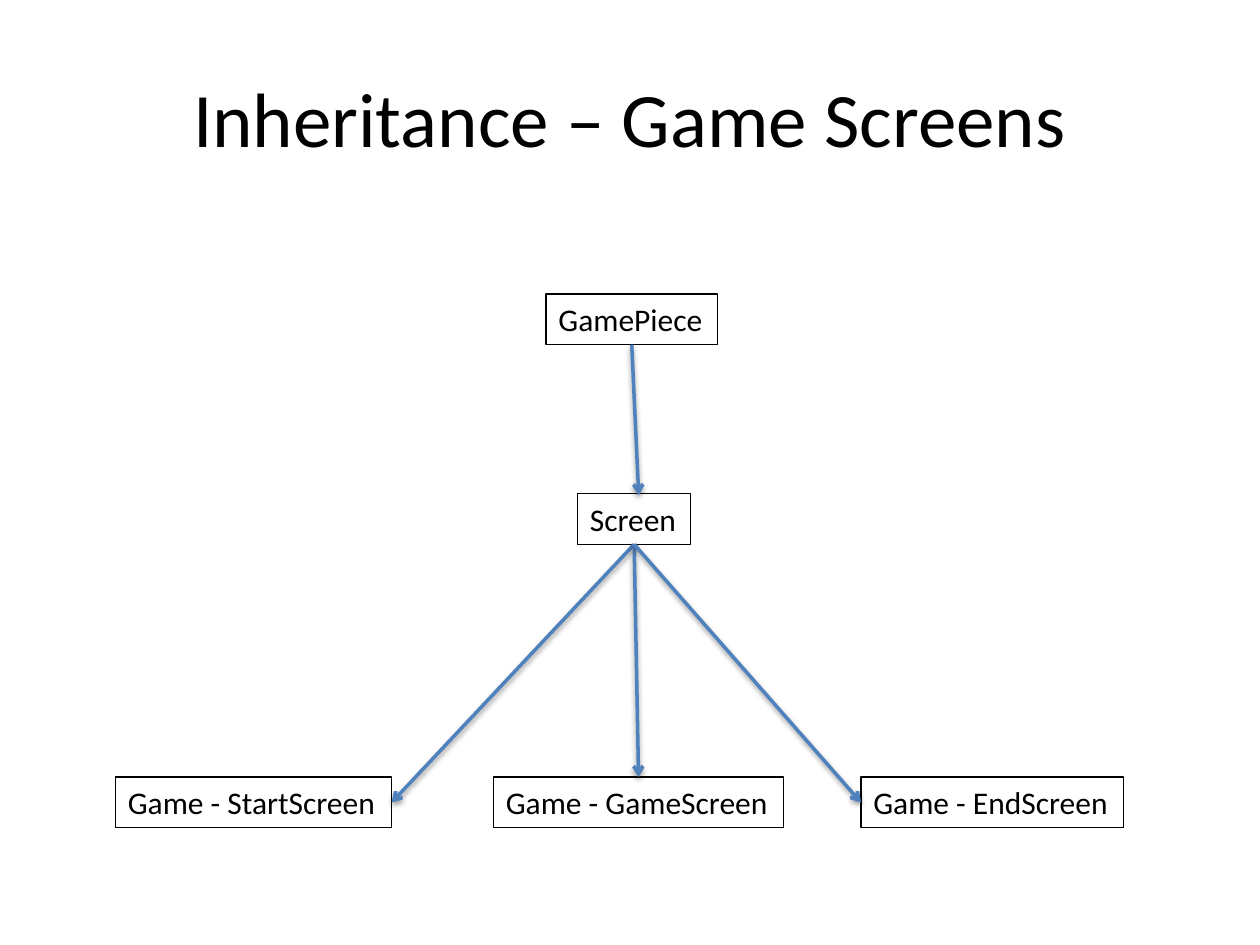
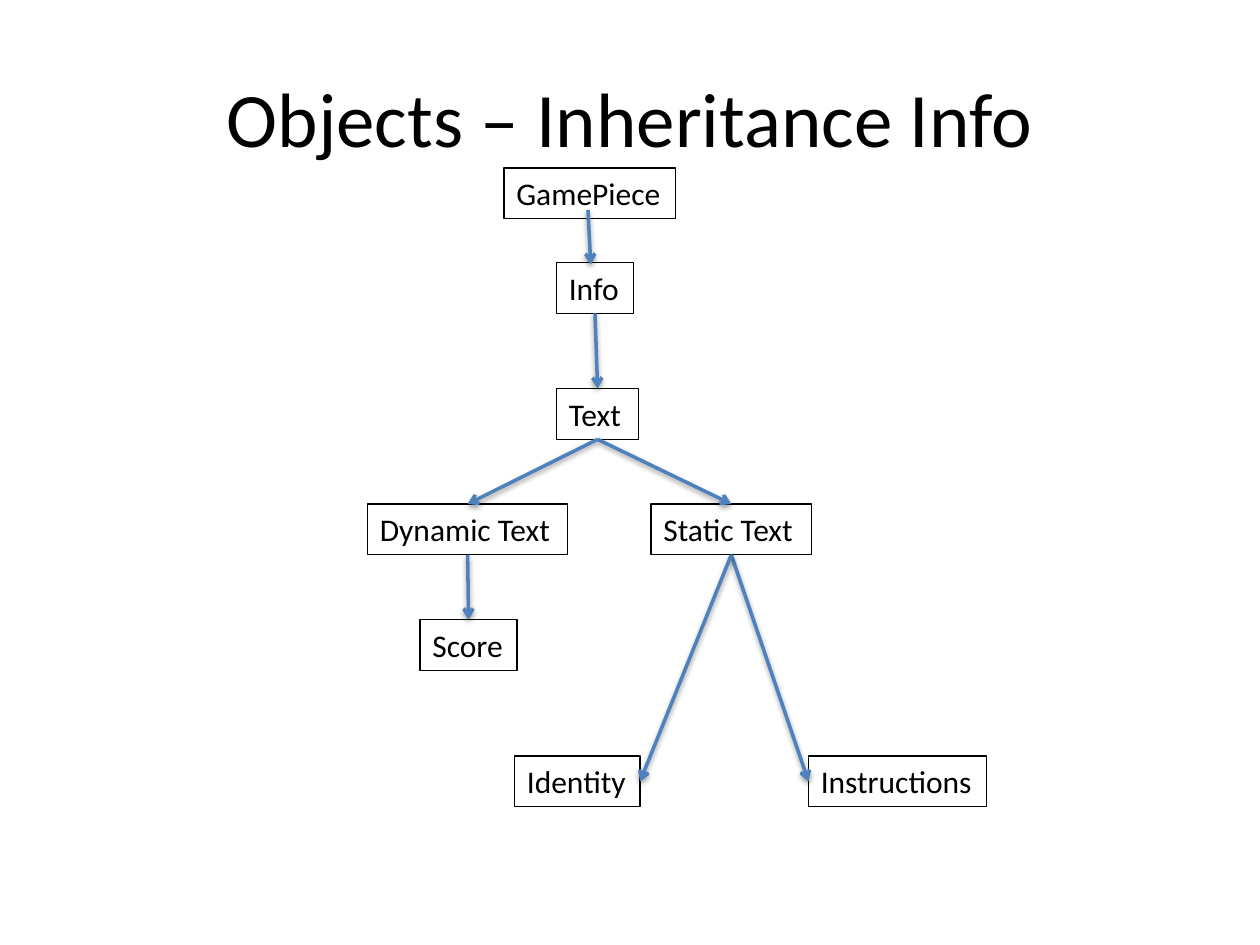
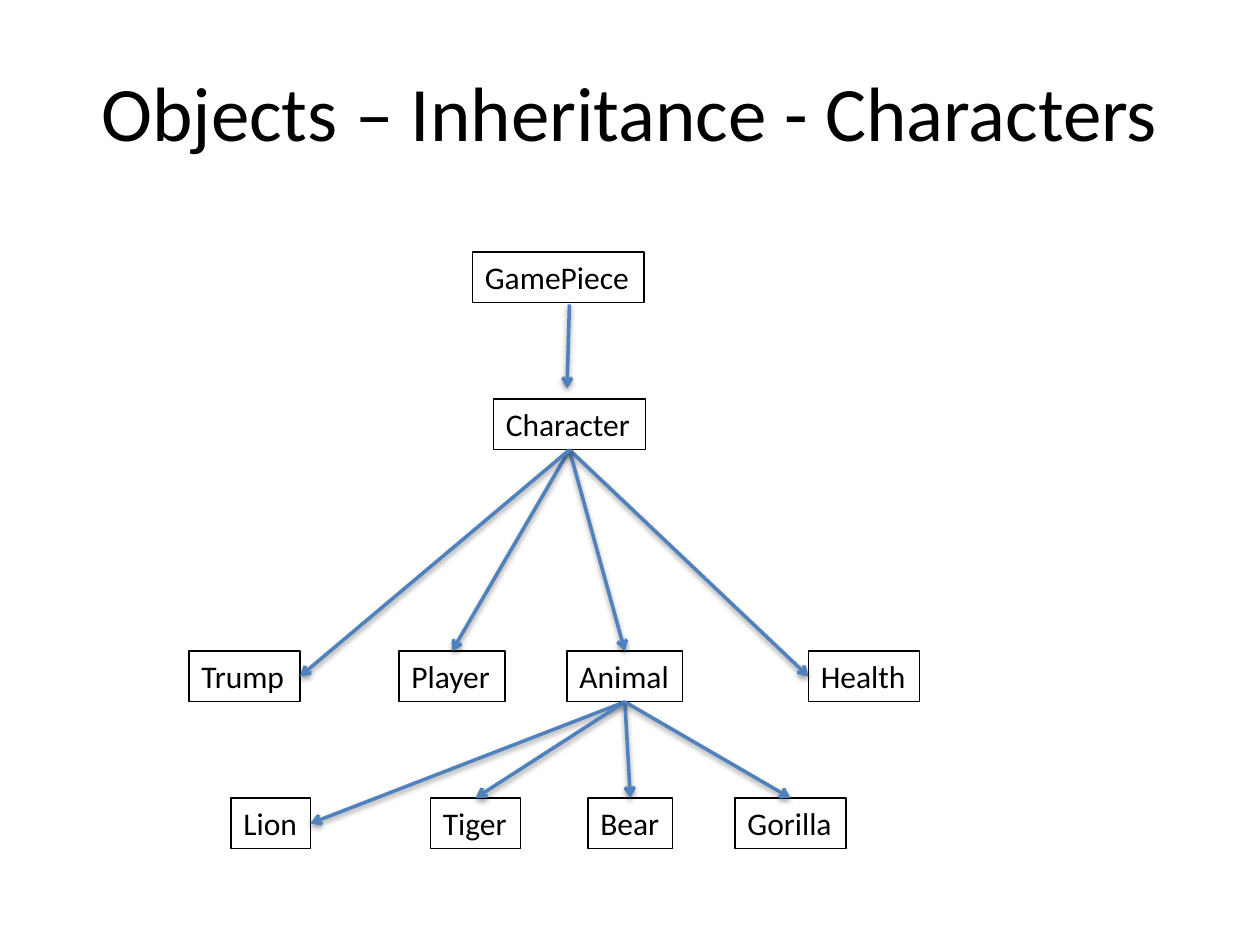
"""Build three class inheritance diagrams from boxes and arrows."""
from dataclasses import dataclass

from lxml import etree
from pptx import Presentation
from pptx.dml.color import RGBColor
from pptx.enum.shapes import MSO_CONNECTOR
from pptx.enum.text import MSO_ANCHOR, MSO_AUTO_SIZE, PP_ALIGN
from pptx.oxml.ns import qn
from pptx.shapes.autoshape import Shape
from pptx.shapes.connector import Connector
from pptx.slide import Slide
from pptx.text.text import Font
from pptx.util import Pt

STRAIGHT = MSO_CONNECTOR.STRAIGHT
MIDDLE = MSO_ANCHOR.MIDDLE
CENTER = PP_ALIGN.CENTER
GROW = MSO_AUTO_SIZE.SHAPE_TO_FIT_TEXT

FONT_NAME = "Calibri"
BLACK = "000000"
BLUE = "4F81BD"
TITLE_ONLY = 5
BOX_HEIGHT = 29.08
ROOT = "GamePiece"
ROOT_WIDTH = 98
TOP, LEFT, BOTTOM, RIGHT = range(4)


@dataclass(frozen=True)
class ClassBox:
    name: str
    left: float
    top: float
    width: float


@dataclass(frozen=True)
class Inheritance:
    parent: str
    child: str
    child_side: int = TOP


@dataclass(frozen=True)
class Diagram:
    title: str
    title_top: float
    boxes: list[ClassBox]
    root_arrow: tuple[float, float, float, float]
    links: list[Inheritance]


DIAGRAMS = [
    Diagram(
        "Inheritance – Game Screens", 21.6,
        [
            ClassBox(ROOT, 312, 168, ROOT_WIDTH),
            ClassBox("Screen", 330, 282, 64.8),
            ClassBox("Game - StartScreen", 66, 444, 157.8),
            ClassBox("Game - GameScreen", 282, 444, 165.8),
            ClassBox("Game - EndScreen", 492, 444, 150),
        ],
        (361, 197, 365, 283),
        [
            Inheritance("Screen", "Game - StartScreen", RIGHT),
            Inheritance("Screen", "Game - GameScreen"),
            Inheritance("Screen", "Game - EndScreen", LEFT),
        ],
    ),
    Diagram(
        "Objects – Inheritance Info", 21.6,
        [
            ClassBox(ROOT, 288, 96, ROOT_WIDTH),
            ClassBox("Info", 318, 150, 44),
            ClassBox("Text", 318, 222, 47),
            ClassBox("Dynamic Text", 210, 288, 114.5),
            ClassBox("Static Text", 372, 288, 91.8),
            ClassBox("Score", 240, 354, 55.5),
            ClassBox("Identity", 294, 432, 71.8),
            ClassBox("Instructions", 462, 432, 101.6),
        ],
        (336, 120, 337.6, 151.2),
        [
            Inheritance("Info", "Text"),
            Inheritance("Text", "Static Text"),
            Inheritance("Text", "Dynamic Text"),
            Inheritance("Static Text", "Instructions", LEFT),
            Inheritance("Static Text", "Identity", RIGHT),
            Inheritance("Dynamic Text", "Score"),
        ],
    ),
    Diagram(
        "Objects – Inheritance - Characters", 18,
        [
            ClassBox(ROOT, 270, 144, ROOT_WIDTH),
            ClassBox("Character", 282, 228, 86.8),
            ClassBox("Trump", 108, 372, 63.4),
            ClassBox("Player", 228, 372, 60.6),
            ClassBox("Animal", 324, 372, 66.2),
            ClassBox("Health", 462, 372, 63.4),
            ClassBox("Lion", 132, 456, 45.4),
            ClassBox("Tiger", 246, 456, 51.6),
            ClassBox("Bear", 336, 456, 48.4),
            ClassBox("Gorilla", 420, 456, 63.4),
        ],
        (325.4, 174, 324, 222),
        [
            Inheritance("Character", "Health", LEFT),
            Inheritance("Character", "Animal"),
            Inheritance("Character", "Player"),
            Inheritance("Character", "Trump", RIGHT),
            Inheritance("Animal", "Lion", RIGHT),
            Inheritance("Animal", "Tiger"),
            Inheritance("Animal", "Bear"),
            Inheritance("Animal", "Gorilla"),
        ],
    ),
]


def color(hex_value: str) -> RGBColor:
    return RGBColor.from_string(hex_value)


def set_font(font: Font, size: float) -> None:
    font.name = FONT_NAME
    font.size = Pt(size)
    font.color.rgb = color(BLACK)


def set_title(slide: Slide, text: str, top: float) -> None:
    title = slide.shapes.title
    title.left, title.top = Pt(36), Pt(top)
    title.width, title.height = Pt(648), Pt(90)
    title.text_frame.text = text
    title.text_frame.vertical_anchor = MIDDLE
    paragraph = title.text_frame.paragraphs[0]
    paragraph.alignment = CENTER
    set_font(paragraph.font, 44)


def add_box(slide: Slide, box: ClassBox) -> Shape:
    shape = slide.shapes.add_textbox(
        Pt(box.left), Pt(box.top), Pt(box.width), Pt(BOX_HEIGHT)
    )
    shape.line.color.rgb = color(BLACK)
    shape.line.width = Pt(0.75)
    frame = shape.text_frame
    frame.text = box.name
    frame.word_wrap = False
    frame.auto_size = GROW
    set_font(frame.paragraphs[0].font, 18)
    return shape


def add_arrow(
    slide: Slide, start_x: float, start_y: float, end_x: float, end_y: float
) -> Connector:
    arrow = slide.shapes.add_connector(
        STRAIGHT, Pt(start_x), Pt(start_y), Pt(end_x), Pt(end_y)
    )
    arrow.line.color.rgb = color(BLUE)
    arrow.line.width = Pt(2)
    line = arrow.element.spPr.find(qn("a:ln"))
    etree.SubElement(line, qn("a:tailEnd"), type="arrow")
    return arrow


def draw_diagram(slide: Slide, diagram: Diagram) -> None:
    set_title(slide, diagram.title, diagram.title_top)
    shapes = {box.name: add_box(slide, box) for box in diagram.boxes}
    add_arrow(slide, *diagram.root_arrow)
    for link in diagram.links:
        arrow = add_arrow(slide, 0, 0, 0, 0)
        arrow.begin_connect(shapes[link.parent], BOTTOM)
        arrow.end_connect(shapes[link.child], link.child_side)


def main() -> None:
    presentation = Presentation()
    presentation.slide_width = Pt(720)
    presentation.slide_height = Pt(540)
    layout = presentation.slide_layouts[TITLE_ONLY]
    for diagram in DIAGRAMS:
        draw_diagram(presentation.slides.add_slide(layout), diagram)
    presentation.save("out.pptx")


if __name__ == "__main__":
    main()
